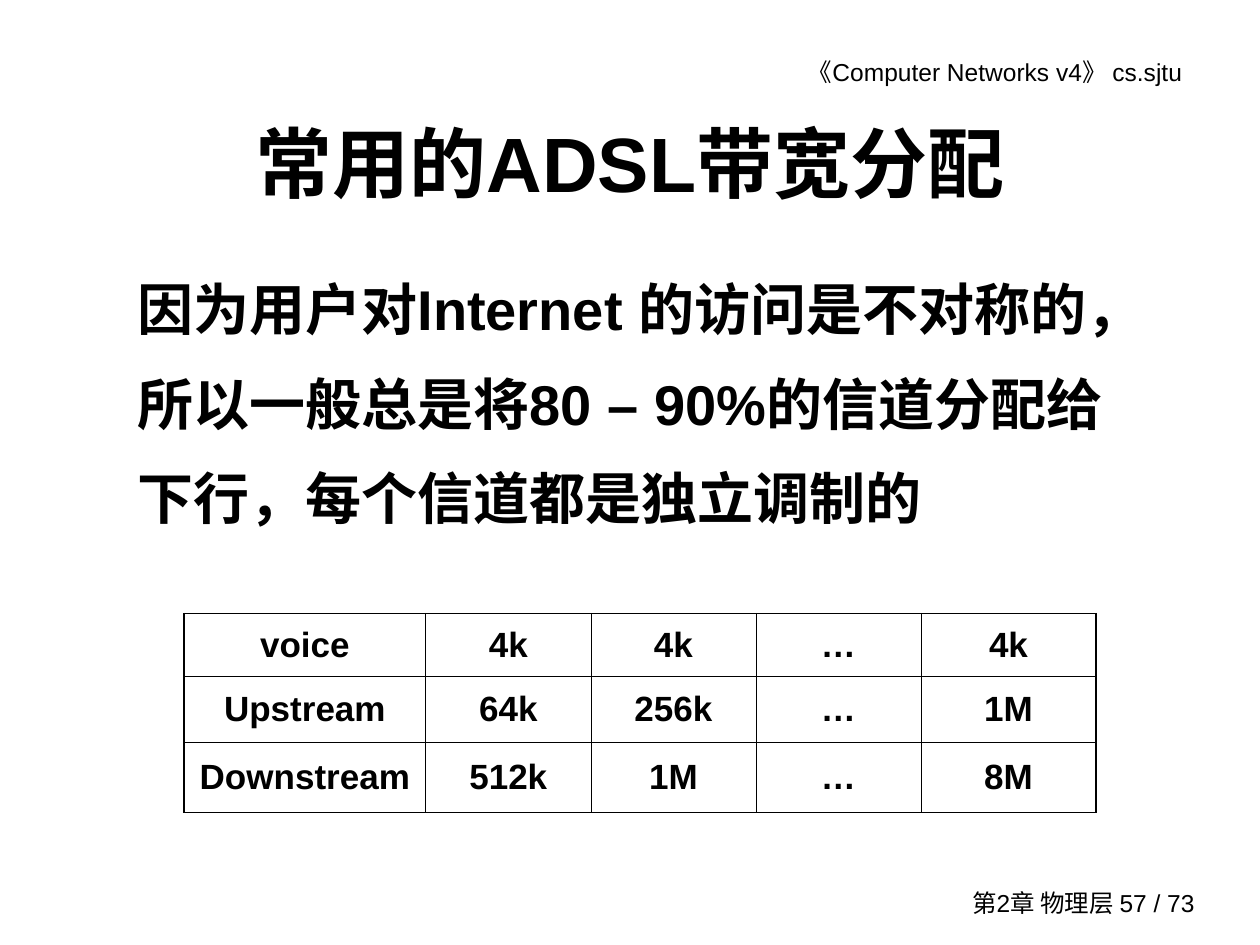
from lxml import etree
from pptx import Presentation
from pptx import util as u
from pptx.dml.color import RGBColor
from pptx.enum import text
from pptx.oxml.ns import qn

BLACK = "000000"
ROWS = [
    ["voice", "4k", "4k", "…", "4k"],
    ["Upstream", "64k", "256k", "…", "1M"],
    ["Downstream", "512k", "1M", "…", "8M"],
]
COL_WIDTHS = [1.92, 1.31, 1.31, 1.31, 1.39]
ROW_HEIGHTS = [0.5, 0.52, 0.56]
ALIGN = text.PP_ALIGN
ANCHOR = text.MSO_ANCHOR


def color(value):
    return RGBColor.from_string(value)


def style(p, size, bold, align):
    p.alignment = align
    p.font.name = "Arial"
    p.font.size = u.Pt(size)
    p.font.bold = bold
    p.font.color.rgb = color(BLACK)


def add_text(s, box, words, size, bold=False, align=ALIGN.LEFT,
             anchor=ANCHOR.TOP, spacing=1.0):
    sp = s.shapes.add_textbox(*map(u.Inches, box))
    tf = sp.text_frame
    tf.word_wrap = True
    tf.vertical_anchor = anchor
    p = tf.paragraphs[0]
    p.text = words
    p.line_spacing = spacing
    style(p, size, bold, align)
    p._p.get_or_add_pPr().set("hangingPunct", "0")


def add_border(cell, side, width):
    ln = etree.SubElement(cell._tc.get_or_add_tcPr(), qn(f"a:ln{side}"),
                          w=str(u.Pt(width)))
    fill = etree.SubElement(ln, qn("a:solidFill"))
    etree.SubElement(fill, qn("a:srgbClr"), val=BLACK)


def add_header(s, box):
    add_text(s, box, "《Computer Networks v4》 cs.sjtu", 14, align=ALIGN.RIGHT)


def add_footer(s, box):
    add_text(s, box, "第2章 物理层 57 / 73", 14, align=ALIGN.RIGHT,
             anchor=ANCHOR.MIDDLE)


def add_title(s, box):
    add_text(s, box, "常用的ADSL带宽分配", 44, True, ALIGN.CENTER, ANCHOR.MIDDLE)


def add_body(s, box):
    add_text(s, box, "因为用户对Internet 的访问是不对称的，所以一般总是将80 – 90%的信道分"
             "配给下行，每个信道都是独立调制的", 32, True, spacing=1.4)


def add_bandwidth_table(s, box):
    last_row, last_col = len(ROWS) - 1, len(COL_WIDTHS) - 1
    table = s.shapes.add_table(last_row + 1, last_col + 1,
                               *map(u.Inches, box)).table
    table.first_row = table.horz_banding = False
    for col, width in zip(table.columns, COL_WIDTHS):
        col.width = u.Inches(width)
    for row, height in zip(table.rows, ROW_HEIGHTS):
        row.height = u.Inches(height)
    for i, values in enumerate(ROWS):
        for j, value in enumerate(values):
            cell = table.cell(i, j)
            cell.vertical_anchor = ANCHOR.MIDDLE
            p = cell.text_frame.paragraphs[0]
            p.text = value
            style(p, 20, True, ALIGN.CENTER)
            outer = {"L": j == 0, "R": j == last_col,
                     "T": i == 0, "B": i == last_row}
            for side, is_outer in outer.items():
                add_border(cell, side, 1.08 if is_outer else 0.45)
            cell.fill.background()


def main():
    prs = Presentation()
    prs.slide_width, prs.slide_height = u.Inches(10), u.Inches(7.5)
    s = prs.slides.add_slide(prs.slide_layouts[6])
    add_header(s, (5.28, 0.4, 4.2, 0.34))
    add_footer(s, (7.32, 7, 2.26, 0.33))
    add_title(s, (0.75, 0.66, 8.5, 1.25))
    add_body(s, (0.99, 1.92, 8.26, 2.58))
    add_bandwidth_table(s, (1.46, 4.87, sum(COL_WIDTHS), sum(ROW_HEIGHTS)))
    prs.save("out.pptx")


if __name__ == "__main__":
    main()
